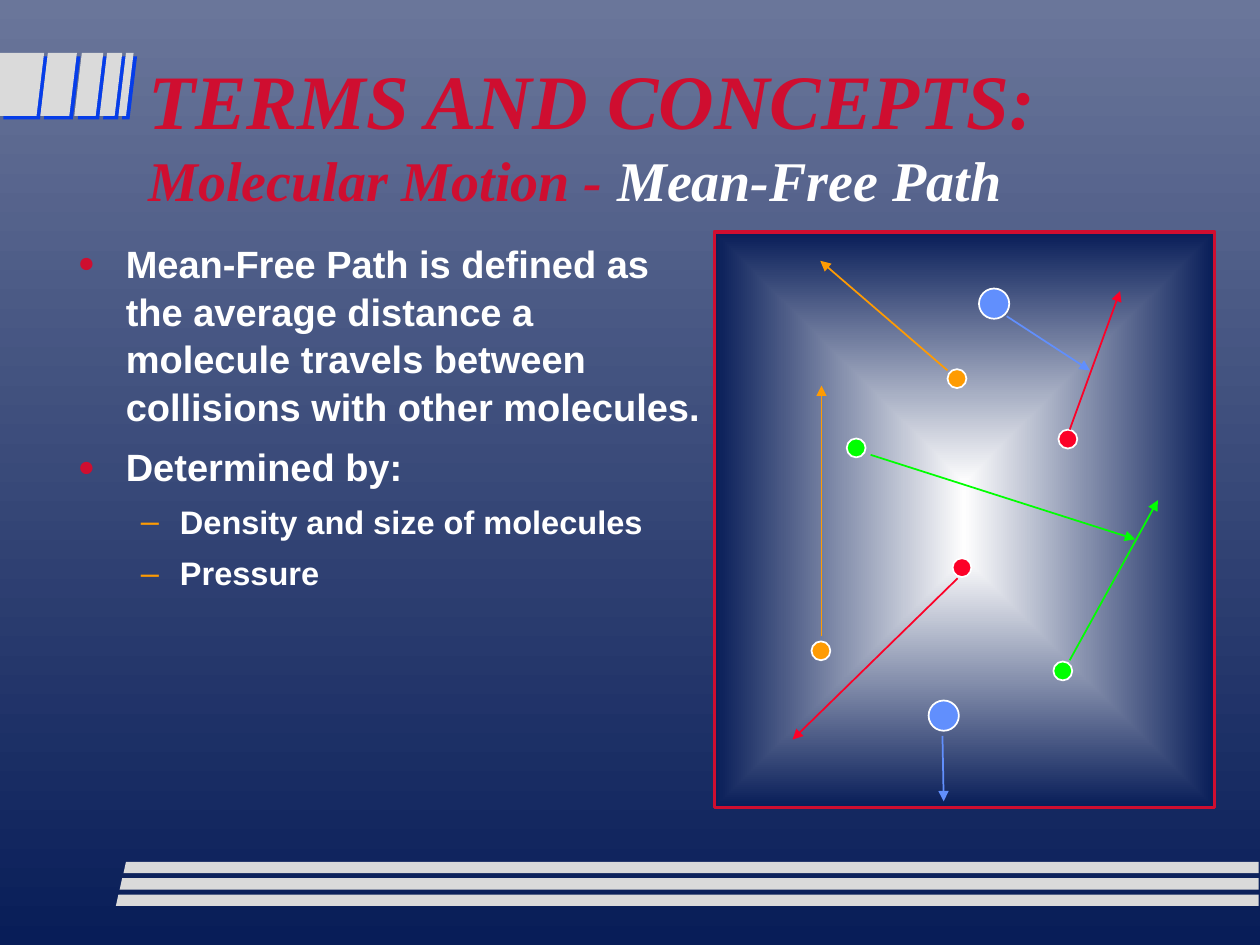
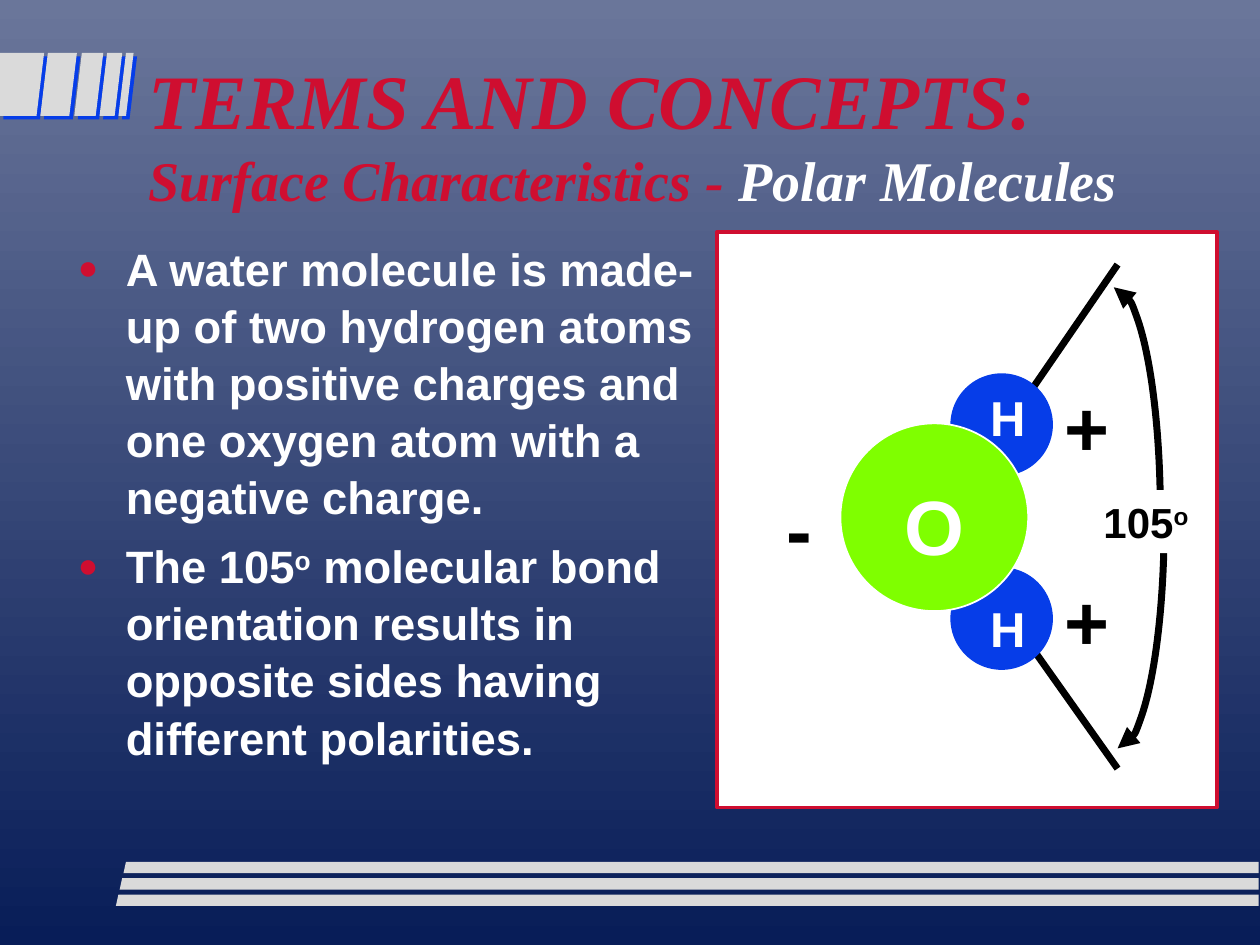
"""Build two slides on molecular motion and polar molecules."""
from dataclasses import dataclass
from typing import Optional

from lxml.etree import SubElement
from pptx import Presentation
from pptx.dml.color import RGBColor
from pptx.enum.shapes import MSO_CONNECTOR, MSO_SHAPE
from pptx.oxml.ns import qn
from pptx.util import Inches, Pt

COLORS = {
    "sky": "6A769A", "navy": "081D58", "silver": "DADADA", "blue": "063DE8",
    "crimson": "CF0E30", "white": "FFFFFF", "pearl": "FEFEFE", "black": "000000",
    "orange": "FE9B03", "green": "00FF00", "periwinkle": "618FFD",
    "red": "FC0128", "lime": "7FFF00",
}
BODY_FONT = "Arial"
TITLE_FONT = "Times New Roman"
TITLE = "TERMS AND CONCEPTS:"
SLANT = 0.06
STRIPE_TOP, STRIPE_BOTTOM = 0.42, 0.92


@dataclass(frozen=True)
class Stripe:
    left: float
    width: float


@dataclass(frozen=True)
class Bullet:
    text: str
    size: float
    level: int = 0


@dataclass(frozen=True)
class BulletStyle:
    symbol: str
    color: str
    margin: float
    hanging: float
    space_before: float
    percent: int


@dataclass(frozen=True)
class Circle:
    left: float
    top: float
    diameter: float
    color: str
    outline: str = "white"


@dataclass(frozen=True)
class Line:
    start: tuple[float, float]
    end: tuple[float, float]
    color: str


@dataclass(frozen=True)
class Label:
    text: str
    box: tuple[float, float, float, float]
    size: float
    color: str
    fill: Optional[str] = None


STRIPES = [Stripe(0.32, 0.23), Stripe(0.59, 0.17), Stripe(0.79, 0.12), Stripe(0.94, 0.06)]
BULLET_STYLES = [
    BulletStyle("●", "crimson", 0.38, 0.38, 7, 75),
    BulletStyle("–", "orange", 0.81, 0.31, 6, 100),
]

MOTION_BULLETS = [
    Bullet("Mean-Free Path is defined as the average distance a molecule travels "
           "between collisions with other molecules.", 21.7),
    Bullet("Determined by:", 21.7),
    Bullet("Density and size of molecules", 18.6, 1),
    Bullet("Pressure", 18.6, 1),
]
MOLECULES = [
    Circle(8.36, 5.25, 0.15, "green"),
    Circle(7.37, 5.56, 0.24, "periwinkle"),
    Circle(7.77, 2.29, 0.24, "periwinkle"),
    Circle(8.4, 3.41, 0.15, "red"),
    Circle(6.44, 5.09, 0.15, "orange"),
    Circle(7.52, 2.93, 0.15, "orange"),
    Circle(6.72, 3.48, 0.15, "green"),
    Circle(7.56, 4.43, 0.15, "red"),
]
TRAJECTORIES = [
    Line((7.6, 4.59), (6.29, 5.87), "red"),
    Line((8.49, 3.41), (8.89, 2.31), "red"),
    Line((6.91, 3.61), (9.01, 4.28), "green"),
    Line((8.49, 5.24), (9.19, 3.97), "green"),
    Line((7.48, 5.84), (7.49, 6.36), "periwinkle"),
    Line((7.99, 2.51), (8.65, 2.94), "periwinkle"),
    Line((6.52, 5.05), (6.52, 3.06), "orange"),
    Line((7.52, 2.94), (6.51, 2.07), "orange"),
]

POLAR_BULLETS = [
    Bullet("A water molecule is made-up of two hydrogen atoms with positive charges "
           "and one oxygen atom with a negative charge.", 25.9),
    Bullet("The 105^o^ molecular bond orientation results in opposite sides having "
           "different polarities.", 25.9),
]
BOND_AXES = [
    Line((7.49, 4.11), (8.87, 2.1), "black"),
    Line((7.49, 4.15), (8.87, 6.1), "black"),
]
ATOMS = [
    Circle(7.55, 2.97, 0.8, "blue", "blue"),
    Circle(7.55, 4.51, 0.8, "blue", "blue"),
    Circle(6.67, 3.36, 1.49, "lime"),
]
ATOM_LABELS = [
    Label("O", (7.08, 3.75, 0.67, 0.83), 44, "white"),
    Label("H", (7.76, 4.7, 0.48, 0.56), 28, "white"),
    Label("H", (7.76, 3.03, 0.48, 0.56), 28, "white"),
    Label("-", (6.14, 3.77, 0.4, 0.83), 44, "black"),
    Label("+", (8.35, 2.96, 0.56, 0.83), 44, "black"),
    Label("+", (8.35, 4.5, 0.56, 0.83), 44, "black"),
]
ANGLE_LABEL = Label("105^o^", (8.66, 3.89, 0.93, 0.5), 24, "black", "white")


def rgb(name: str) -> RGBColor:
    return RGBColor.from_string(COLORS[name])


def set_gradient(fill, first: str, last: str) -> None:
    fill.gradient()
    for stop, color, position in zip(fill.gradient_stops, (first, last), (0, 1)):
        stop.color.rgb = rgb(color)
        stop.position = position


def paint(shape, fill: str, outline: Optional[str] = None, width: float = 1) -> None:
    shape.shadow.inherit = False
    shape.fill.solid()
    shape.fill.fore_color.rgb = rgb(fill)
    if outline:
        shape.line.color.rgb = rgb(outline)
        shape.line.width = Pt(width)
    else:
        shape.line.fill.background()


def add_polygon(slide, points: list[tuple[float, float]], fill: str):
    corners = [(Inches(x), Inches(y)) for x, y in points]
    builder = slide.shapes.build_freeform(*corners[0], scale=1.0)
    builder.add_line_segments(corners[1:], close=True)
    shape = builder.convert_to_shape()
    paint(shape, fill)
    return shape


def add_hard_shadow(shape, color: str) -> None:
    effects = shape._element.spPr.find(qn("a:effectLst"))
    shadow = SubElement(effects, qn("a:outerShdw"), blurRad="0", dist=str(Pt(2.8)),
                        dir="2700000", algn="ctr", rotWithShape="0")
    SubElement(shadow, qn("a:srgbClr"), val=COLORS[color])


def add_decoration(slide) -> None:
    outlines = [[(0, STRIPE_TOP), (0.35, STRIPE_TOP), (0.29, STRIPE_BOTTOM), (0, STRIPE_BOTTOM)]]
    for stripe in STRIPES:
        right = stripe.left + stripe.width
        outlines.append([(stripe.left + SLANT, STRIPE_TOP), (stripe.left, STRIPE_BOTTOM),
                         (right, STRIPE_BOTTOM), (right + SLANT, STRIPE_TOP)])
    for outline in outlines:
        add_hard_shadow(add_polygon(slide, outline, "silver"), "blue")
    for index in range(3):
        left, top = 0.92 + 0.03 * index, 7.1 - 0.13 * index
        bottom = top + 0.09
        add_polygon(slide, [(left, bottom), (9.99, bottom), (9.99, top), (left + 0.02, top)], "silver")


def format_run(run, font: str, size: float, color: str, italic: bool = False) -> None:
    run.font.name = font
    run.font.size = Pt(size)
    run.font.color.rgb = rgb(color)
    run.font.bold = True
    run.font.italic = italic


def add_text_box(slide, box: tuple[float, float, float, float], wrap: bool = True):
    shape = slide.shapes.add_textbox(*map(Inches, box))
    shape.text_frame.word_wrap = wrap
    return shape


def write_text(paragraph, text: str, size: float, color: str) -> None:
    """Write text whose parts between carets are raised."""
    for index, part in enumerate(filter(None, text.split("^"))):
        run = paragraph.add_run()
        run.text = part
        format_run(run, BODY_FONT, size, color)
        if index % 2:
            run.font._element.set("baseline", "30000")


def add_title(slide, topic: str, focus: str) -> None:
    text_frame = add_text_box(slide, (1.08, 0.3, 8.5, 1.29)).text_frame
    text_frame.margin_top = Inches(0.12)
    text_frame.text = f"{TITLE}\v{topic} - "
    paragraph = text_frame.paragraphs[0]
    paragraph.add_run().text = focus
    for run, size, color in zip(paragraph.runs, (44, 32, 32), ("crimson", "crimson", "white")):
        format_run(run, TITLE_FONT, size, color, italic=True)


def add_bullets(slide, bullets: list[Bullet], height: float) -> None:
    text_frame = add_text_box(slide, (0.52, 1.84, 5.15, height)).text_frame
    for index, bullet in enumerate(bullets):
        paragraph = text_frame.add_paragraph() if index else text_frame.paragraphs[0]
        style = BULLET_STYLES[bullet.level]
        write_text(paragraph, bullet.text, bullet.size, "white")
        paragraph.level = bullet.level
        paragraph.line_spacing = 1.05
        paragraph.space_before = Pt(style.space_before)
        properties = paragraph._p.get_or_add_pPr()
        properties.set("marL", str(Inches(style.margin)))
        properties.set("indent", str(-Inches(style.hanging)))
        color = SubElement(properties, qn("a:buClr"))
        SubElement(color, qn("a:srgbClr"), val=COLORS[style.color])
        SubElement(properties, qn("a:buSzPct"), val=str(style.percent * 1000))
        SubElement(properties, qn("a:buFont"), typeface=BODY_FONT)
        SubElement(properties, qn("a:buChar"), char=style.symbol)


def add_panel(slide, left: float):
    panel = slide.shapes.add_shape(MSO_SHAPE.RECTANGLE, *map(Inches, (left, 1.84, 3.97, 4.57)))
    paint(panel, "white", "crimson", 2)
    return panel


def add_circle(slide, circle: Circle) -> None:
    box = (circle.left, circle.top, circle.diameter, circle.diameter)
    shape = slide.shapes.add_shape(MSO_SHAPE.OVAL, *map(Inches, box))
    paint(shape, circle.color, circle.outline)


def add_arrowhead(shape, end: str) -> None:
    SubElement(shape.line._get_or_add_ln(), qn(f"a:{end}"), type="triangle")


def add_line(slide, line: Line, width: float):
    connector = slide.shapes.add_connector(
        MSO_CONNECTOR.STRAIGHT, *map(Inches, line.start + line.end))
    connector.line.color.rgb = rgb(line.color)
    connector.line.width = Pt(width)
    SubElement(connector._element.spPr, qn("a:effectLst"))
    return connector


def add_arc(slide, left: float, top: float, angles: tuple[float, float], arrow_end: str) -> None:
    arc = slide.shapes.add_shape(MSO_SHAPE.ARC, *map(Inches, (left, top, 0.74, 3.61)))
    arc.adjustments[0], arc.adjustments[1] = (angle * 0.6 for angle in angles)
    paint(arc, "white", "black", 4)
    arc.fill.background()
    add_arrowhead(arc, arrow_end)


def add_label(slide, label: Label) -> None:
    shape = add_text_box(slide, label.box, wrap=label.fill is not None)
    if label.fill:
        paint(shape, label.fill)
    write_text(shape.text_frame.paragraphs[0], label.text, label.size, label.color)


def add_topic_slide(presentation, topic: str, focus: str, bullets: list[Bullet], height: float):
    slide = presentation.slides.add_slide(presentation.slide_layouts[6])
    add_decoration(slide)
    add_title(slide, topic, focus)
    add_bullets(slide, bullets, height)
    return slide


def build_motion_slide(presentation) -> None:
    slide = add_topic_slide(presentation, "Molecular Motion", "Mean-Free Path", MOTION_BULLETS, 3.19)
    panel = add_panel(slide, 5.67)
    set_gradient(panel.fill, "pearl", "navy")
    gradient = panel._element.spPr.find(qn("a:gradFill"))
    gradient.remove(gradient.find(qn("a:lin")))
    center = SubElement(gradient, qn("a:path"), path="rect")
    SubElement(center, qn("a:fillToRect"), dict.fromkeys("ltrb", "50000"))
    for molecule in MOLECULES:
        add_circle(slide, molecule)
    for trajectory in TRAJECTORIES:
        add_arrowhead(add_line(slide, trajectory, 1), "tailEnd")


def build_polar_slide(presentation) -> None:
    slide = add_topic_slide(presentation, "Surface Characteristics", "Polar Molecules", POLAR_BULLETS, 4.57)
    add_panel(slide, 5.69)
    for axis in BOND_AXES:
        add_line(slide, axis, 4)
    for atom in ATOMS:
        add_circle(slide, atom)
    for label in ATOM_LABELS:
        add_label(slide, label)
    add_arc(slide, 8.47, 2.28, (270, 0), "headEnd")
    add_arc(slide, 8.5, 2.33, (0, 90), "tailEnd")
    add_label(slide, ANGLE_LABEL)


def main() -> None:
    presentation = Presentation()
    presentation.slide_width, presentation.slide_height = Inches(10), Inches(7.5)
    background = presentation.slide_master.background.fill
    set_gradient(background, "sky", "navy")
    background.gradient_angle = 270
    build_motion_slide(presentation)
    build_polar_slide(presentation)
    presentation.save("out.pptx")


if __name__ == "__main__":
    main()
